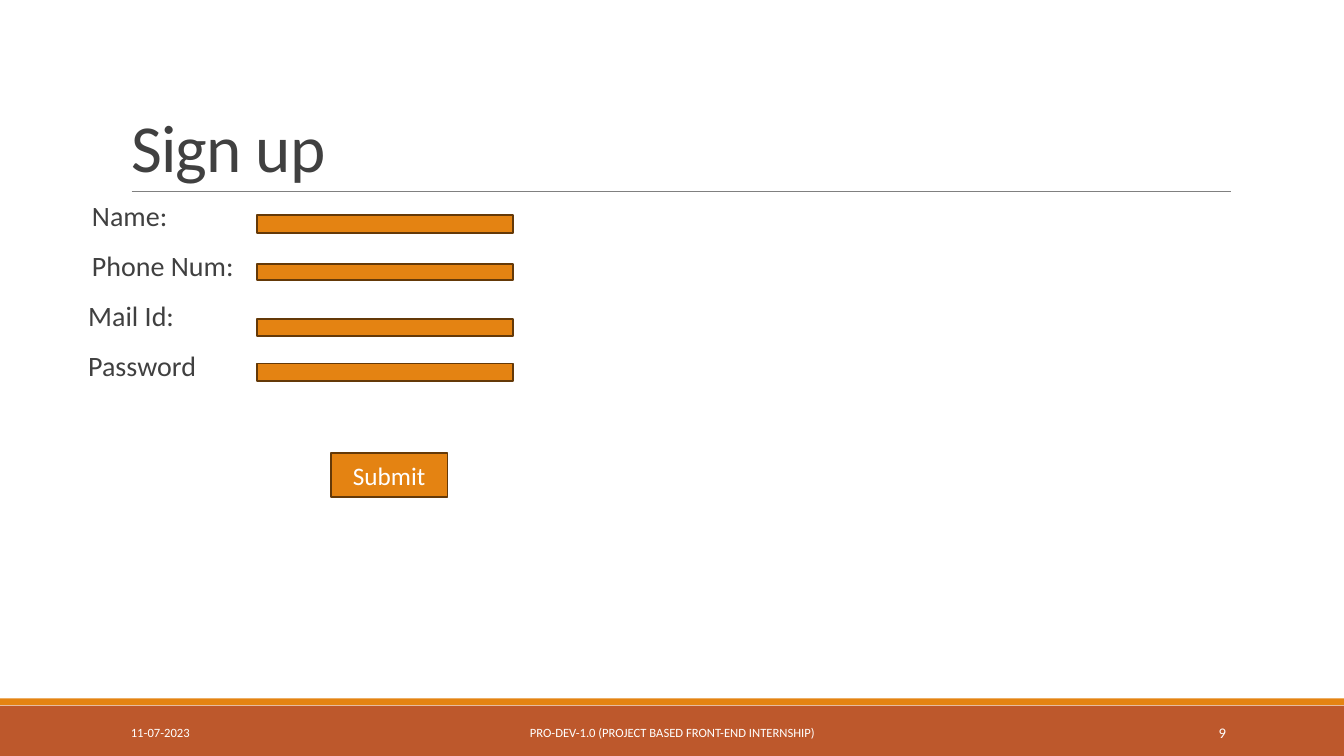
from dataclasses import dataclass

import pptx
import pptx.dml.color
import pptx.enum.shapes
import pptx.enum.text
import pptx.util
from lxml import etree
from pptx.oxml.ns import qn

Pt = pptx.util.Pt
RGBColor = pptx.dml.color.RGBColor
Align = pptx.enum.text.PP_ALIGN
Anchor = pptx.enum.text.MSO_ANCHOR

FONT = "Calibri"
ORANGE = RGBColor(0xE4, 0x83, 0x12)
RUST = RGBColor(0xBD, 0x58, 0x2C)
BROWN = RGBColor(0x64, 0x39, 0x08)
GREY = RGBColor(0x80, 0x80, 0x80)
DARK = RGBColor(0x40, 0x40, 0x40)
WHITE = RGBColor(0xFF, 0xFF, 0xFF)

SLIDE_WIDTH, SLIDE_HEIGHT = 960, 540
FIELD_LEFT, FIELD_WIDTH = 183.6, 182.9


@dataclass
class Field:
    label: str
    indent: float
    top: float
    height: float


@dataclass
class FooterPart:
    text: str
    left: float
    width: float
    size: float
    align: Align


FIELDS = [
    Field("Name:", 7.2, 153.8, 12.6),
    Field("Phone Num:", 7.2, 188.7, 11.2),
    Field("Mail Id:", 4.5, 228, 12.3),
    Field("Password", 4.5, 259.7, 12.6),
]

FOOTER = [
    FooterPart("11-07-2023", 86.4, 194.7, 9, Align.LEFT),
    FooterPart("PRO-DEV-1.0 (PROJECT BASED FRONT-END INTERNSHIP)",
               290.3, 379.7, 9, Align.CENTER),
    FooterPart("9", 779.5, 103.3, 10.5, Align.RIGHT),
]


def add_span(para, text: str, size: float, color: RGBColor):
    span = para.add_run()
    span.text = text
    span.font.name = FONT
    span.font.size = Pt(size)
    span.font.color.rgb = color
    return span


def add_bar(page, left: float, top: float, width: float, height: float,
            fill: RGBColor, outline: RGBColor | None = None):
    bar = page.shapes.add_shape(pptx.enum.shapes.MSO_SHAPE.RECTANGLE,
                                Pt(left), Pt(top), Pt(width), Pt(height))
    bar.shadow.inherit = False
    bar.fill.solid()
    bar.fill.fore_color.rgb = fill
    if outline is None:
        bar.line.fill.background()
    else:
        bar.line.color.rgb = outline
        bar.line.width = Pt(1.25)
    return bar


def add_box(page, left: float, top: float, width: float, height: float):
    box = page.shapes.add_textbox(Pt(left), Pt(top), Pt(width), Pt(height))
    box.text_frame.word_wrap = True
    return box


def add_title(page, text: str) -> None:
    title = page.shapes.title
    title.left, title.top = Pt(86.4), Pt(22.6)
    title.width, title.height = Pt(792), Pt(114.2)
    frame = title.text_frame
    frame.word_wrap = True
    frame.auto_size = pptx.enum.text.MSO_AUTO_SIZE.NONE
    frame.vertical_anchor = Anchor.BOTTOM
    para = frame.paragraphs[0]
    para.alignment = Align.LEFT
    para.line_spacing = 0.85
    span = add_span(para, text, 48, DARK)
    span.font._element.set("spc", "-50")


def add_rule(page) -> None:
    rule = page.shapes.add_connector(pptx.enum.shapes.MSO_CONNECTOR.STRAIGHT,
                                     Pt(94), Pt(136.8), Pt(879), Pt(136.8))
    rule.line.color.rgb = GREY
    rule.line.width = Pt(0.5)
    etree.SubElement(rule._element.spPr, qn("a:effectLst"))


def add_labels(page, fields: list[Field]) -> None:
    frame = add_box(page, 58.5, 141.1, 792, 316.8).text_frame
    frame.margin_left = frame.margin_right = 0
    for index, field in enumerate(fields):
        para = frame.add_paragraph() if index else frame.paragraphs[0]
        para.line_spacing = 0.9
        para.space_before = Pt(12)
        para.space_after = Pt(2)
        para._p.get_or_add_pPr().set("marL", str(Pt(field.indent)))
        add_span(para, field.label, 20, DARK)


def add_footer_part(page, part: FooterPart) -> None:
    frame = add_box(page, part.left, 508.6, part.width, 28.8).text_frame
    frame.vertical_anchor = Anchor.MIDDLE
    para = frame.paragraphs[0]
    para.alignment = part.align
    add_span(para, part.text, part.size, WHITE)


def add_submit_button(page) -> None:
    button = add_bar(page, 236.3, 323.6, 83.3, 31.5, ORANGE, BROWN)
    button.text_frame.vertical_anchor = Anchor.MIDDLE
    para = button.text_frame.paragraphs[0]
    para.alignment = Align.CENTER
    add_span(para, "Submit", 18, WHITE)


def main() -> None:
    deck = pptx.Presentation()
    deck.slide_width, deck.slide_height = Pt(SLIDE_WIDTH), Pt(SLIDE_HEIGHT)
    page = deck.slides.add_slide(deck.slide_layouts.get_by_name("Title Only"))

    # Footer bands
    add_bar(page, 0, 504, SLIDE_WIDTH, 36, RUST)
    add_bar(page, 0, 498.8, SLIDE_WIDTH, 5, ORANGE)

    # Heading
    add_rule(page)
    add_title(page, "Sign up")

    # Sign-up form
    add_labels(page, FIELDS)
    for field in FIELDS:
        add_bar(page, FIELD_LEFT, field.top, FIELD_WIDTH, field.height,
                ORANGE, BROWN)
    add_submit_button(page)

    # Footer text
    for part in FOOTER:
        add_footer_part(page, part)

    deck.save("out.pptx")


if __name__ == "__main__":
    main()
